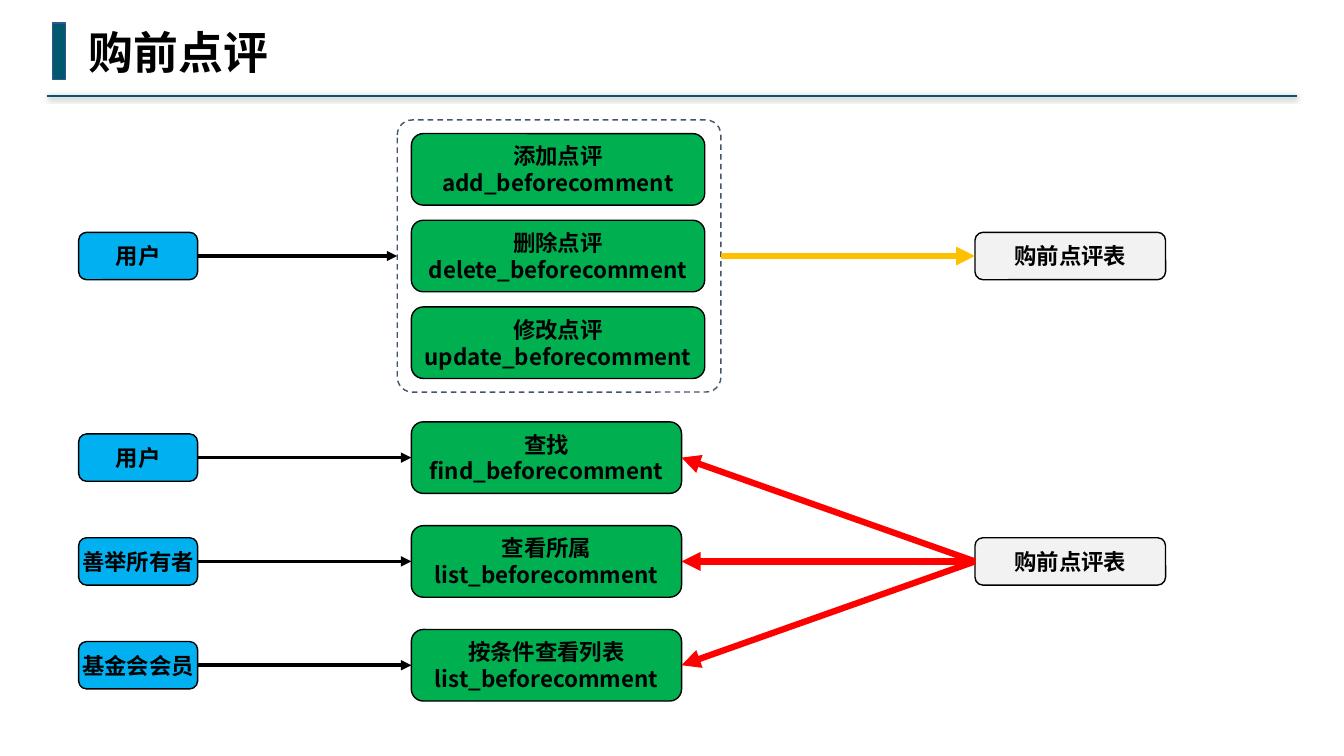
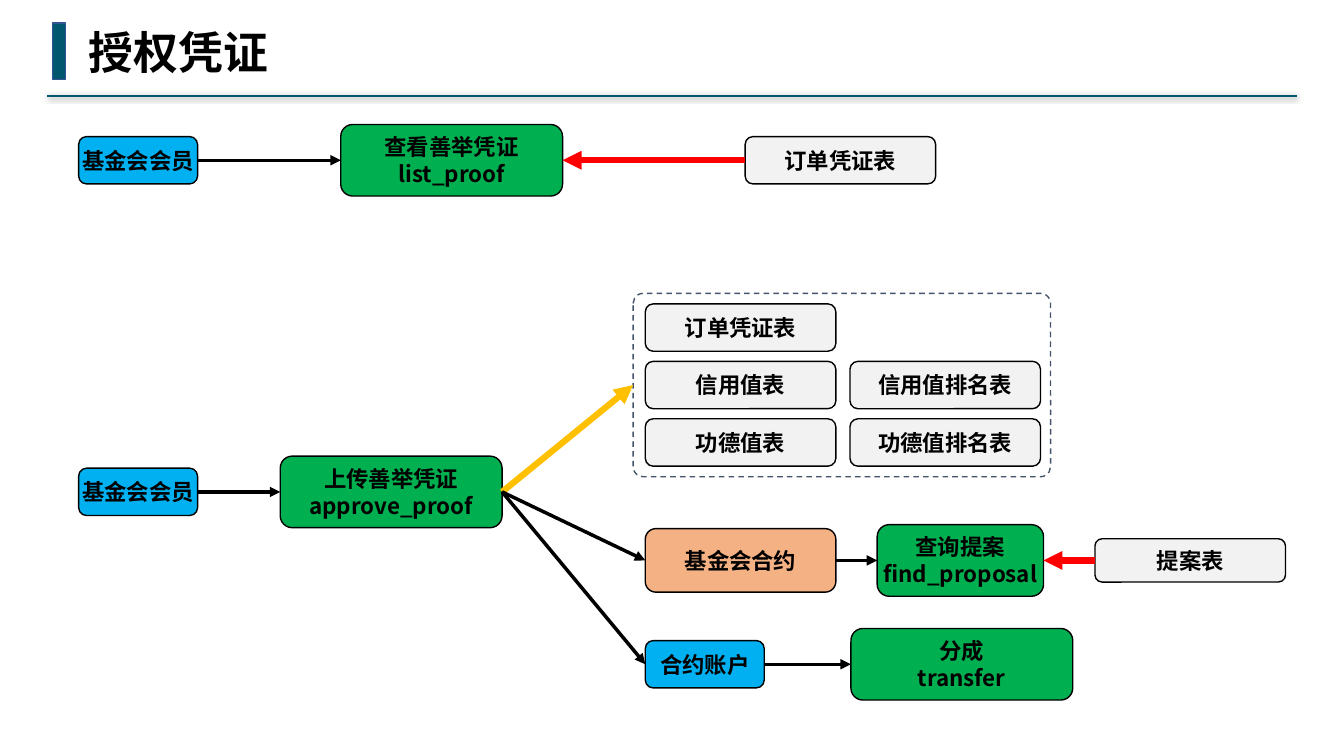
"""Build two flow slides for pre-purchase comments and authorisation proofs."""
from lxml import etree
from pptx import Presentation
from pptx.dml.color import RGBColor
from pptx.enum.dml import MSO_LINE
from pptx.enum.shapes import MSO_CONNECTOR, MSO_SHAPE
from pptx.enum.text import MSO_ANCHOR, MSO_AUTO_SIZE, PP_ALIGN
from pptx.oxml.ns import qn
from pptx.util import Inches, Pt

STRAIGHT = MSO_CONNECTOR.STRAIGHT
RECTANGLE, ROUNDED = MSO_SHAPE.RECTANGLE, MSO_SHAPE.ROUNDED_RECTANGLE
DASH = MSO_LINE.DASH
TOP, MIDDLE = MSO_ANCHOR.TOP, MSO_ANCHOR.MIDDLE
LEFT, CENTER = PP_ALIGN.LEFT, PP_ALIGN.CENTER
NO_FIT, GROW = MSO_AUTO_SIZE.NONE, MSO_AUTO_SIZE.SHAPE_TO_FIT_TEXT
LEFT_SITE, RIGHT_SITE = 1, 3
TITLE_ONLY = 5

TEAL, BLACK = "00576E", "000000"
color = RGBColor.from_string
KINDS = {
    "actor": ("00B0F0", 0.47),
    "action": ("00B050", 0.71),
    "table": ("F2F2F2", 0.47),
    "low table": ("F2F2F2", 0.43),
    "contract": ("F4B183", 0.63),
}
ARROWS = {
    "call": (BLACK, 2.5, RIGHT_SITE, LEFT_SITE),
    "write": ("FFC000", 4.5, RIGHT_SITE, LEFT_SITE),
    "read": ("FF0000", 4.5, LEFT_SITE, RIGHT_SITE),
}
INSET = Inches(0.04)
TITLE_FRAME = {"word_wrap": False, "auto_size": GROW, "vertical_anchor": TOP,
               "margin_left": Inches(0.1), "margin_right": Inches(0.1),
               "margin_top": Inches(0.05), "margin_bottom": Inches(0.05)}
BOX_FRAME = {"word_wrap": False, "auto_size": NO_FIT, "vertical_anchor": MIDDLE,
             "margin_left": INSET, "margin_right": INSET,
             "margin_top": INSET, "margin_bottom": INSET}
TITLE_FONT = {"name": "Noto Sans Mono", "size": Pt(32), "bold": True}
BOX_FONT = {"name": "Noto Sans CJK SC", "size": Pt(16), "bold": True}
TITLE_PLACE = {"left": Inches(0.78), "top": Inches(0.19),
               "width": Inches(2), "height": Inches(0.64)}

ACTOR_LEFT, ACTOR_WIDTH, TABLE_WIDTH = 0.78, 1.18, 1.89

comment_boxes = [
    ("writer", "actor", ACTOR_LEFT, 2.54, ACTOR_WIDTH, "用户"),
    ("written", "table", 9.67, 2.54, TABLE_WIDTH, "购前点评表"),
    ("read", "table", 9.67, 5.57, TABLE_WIDTH, "购前点评表"),
]
comment_arrows = [("writer", "frame", "call"), ("frame", "written", "write")]
for row, (verb, function) in enumerate([("添加", "add"), ("删除", "delete"), ("修改", "update")]):
    comment_boxes.append((function, "action", 4.08, 1.68 + 0.86 * row, 2.91,
                          f"{verb}点评\n{function}_beforecomment"))
for row, (actor, action, function) in enumerate([
        ("用户", "查找", "find"),
        ("善举所有者", "查看所属", "list"),
        ("基金会会员", "按条件查看列表", "list")]):
    middle = 4.54 + 1.03 * row
    comment_boxes += [
        (f"actor {row}", "actor", ACTOR_LEFT, middle, ACTOR_WIDTH, actor),
        (f"action {row}", "action", 4.08, middle, 2.68,
         f"{action}\n{function}_beforecomment"),
    ]
    comment_arrows += [(f"actor {row}", f"action {row}", "call"),
                       ("read", f"action {row}", "read")]

proof_boxes = [
    ("viewer", "actor", ACTOR_LEFT, 1.59, ACTOR_WIDTH, "基金会会员"),
    ("list", "action", 3.38, 1.59, 2.2, "查看善举凭证\nlist_proof"),
    ("proofs", "table", 7.39, 1.59, TABLE_WIDTH, "订单凭证表"),
    ("uploader", "actor", ACTOR_LEFT, 4.88, ACTOR_WIDTH, "基金会会员"),
    ("approve", "action", 2.78, 4.88, 2.2, "上传善举凭证\napprove_proof"),
    ("contract", "contract", 6.4, 5.56, TABLE_WIDTH, "基金会合约"),
    ("find", "action", 8.7, 5.56, 1.65, "查询提案\nfind_proposal"),
    ("proposals", "low table", 10.86, 5.56, TABLE_WIDTH, "提案表"),
    ("account", "actor", 6.4, 6.59, ACTOR_WIDTH, "合约账户"),
    ("transfer", "action", 8.44, 6.59, 2.2, "分成\ntransfer"),
]
for row, names in enumerate([["订单凭证表"], ["信用值表", "信用值排名表"],
                             ["功德值表", "功德值排名表"]]):
    for column, name in enumerate(names):
        proof_boxes.append((f"table {row} {column}", "table", 6.4 + 2.03 * column,
                            3.25 + 0.57 * row, TABLE_WIDTH, name))
proof_arrows = [
    ("viewer", "list", "call"),
    ("proofs", "list", "read"),
    ("uploader", "approve", "call"),
    ("approve", "frame", "write"),
    ("approve", "contract", "call"),
    ("approve", "account", "call"),
    ("contract", "find", "call"),
    ("proposals", "find", "read"),
    ("account", "transfer", "call"),
]

PAGES = [
    ("购前点评", (3.94, 1.19, 3.21, 2.7), comment_boxes, comment_arrows),
    ("授权凭证", (6.28, 2.91, 4.14, 1.82), proof_boxes, proof_arrows),
]


def write_text(shape, text, frame_format, font_format, alignment):
    frame = shape.text_frame
    frame.text = text
    for attribute, value in frame_format.items():
        setattr(frame, attribute, value)
    for paragraph in frame.paragraphs:
        paragraph.alignment = alignment
        for run in paragraph.runs:
            for attribute, value in font_format.items():
                setattr(run.font, attribute, value)
            run.font.color.rgb = color(BLACK)
            etree.SubElement(run._r.get_or_add_rPr(), qn("a:ea"),
                             typeface=font_format["name"])


def add_shape(slide, preset, place, fill, outline):
    shape = slide.shapes.add_shape(preset, *[Inches(length) for length in place])
    shape.shadow.inherit = False
    if fill:
        shape.fill.solid()
        shape.fill.fore_color.rgb = color(fill)
    else:
        shape.fill.background()
    shape.line.color.rgb = color(outline)
    shape.line.width = Pt(1)
    return shape


presentation = Presentation()
presentation.slide_width = Inches(13.33)
presentation.slide_height = Inches(7.5)

for title, frame_place, boxes, arrows in PAGES:
    slide = presentation.slides.add_slide(presentation.slide_layouts[TITLE_ONLY])

    rule = slide.shapes.add_connector(
        STRAIGHT, Inches(12.86), Inches(0.95), Inches(0.47), Inches(0.95))
    rule.line.color.rgb = color(TEAL)
    rule.line.width = Pt(1.5)
    effects = etree.SubElement(rule._element.spPr, qn("a:effectLst"))
    shadow = etree.SubElement(effects, qn("a:outerShdw"), blurRad=str(Pt(4)),
                              dist=str(Pt(1)), dir="5400000", algn="t", rotWithShape="0")
    shadow_color = etree.SubElement(shadow, qn("a:srgbClr"), val=BLACK)
    etree.SubElement(shadow_color, qn("a:alpha"), val="40000")

    add_shape(slide, RECTANGLE, (0.52, 0.23, 0.13, 0.56), TEAL, "325491")
    for attribute, value in TITLE_PLACE.items():
        setattr(slide.shapes.title, attribute, value)
    write_text(slide.shapes.title, title, TITLE_FRAME, TITLE_FONT, LEFT)

    frame = add_shape(slide, ROUNDED, frame_place, None, "44546A")
    frame.adjustments[0] = 0.055
    frame.line.dash_style = DASH
    nodes = {"frame": frame}
    for name, kind, left, middle, width, text in boxes:
        fill, height = KINDS[kind]
        nodes[name] = add_shape(
            slide, ROUNDED, (left, middle - height / 2, width, height), fill, BLACK)
        write_text(nodes[name], text, BOX_FRAME, BOX_FONT, CENTER)

    for source, target, style in arrows:
        line_color, weight, start_site, end_site = ARROWS[style]
        arrow = slide.shapes.add_connector(STRAIGHT, 0, 0, 0, 0)
        arrow.begin_connect(nodes[source], start_site)
        arrow.end_connect(nodes[target], end_site)
        arrow.line.color.rgb = color(line_color)
        arrow.line.width = Pt(weight)
        etree.SubElement(arrow.get_or_add_ln(), qn("a:tailEnd"), type="triangle")
        etree.SubElement(arrow._element.spPr, qn("a:effectLst"))

presentation.save("out.pptx")
